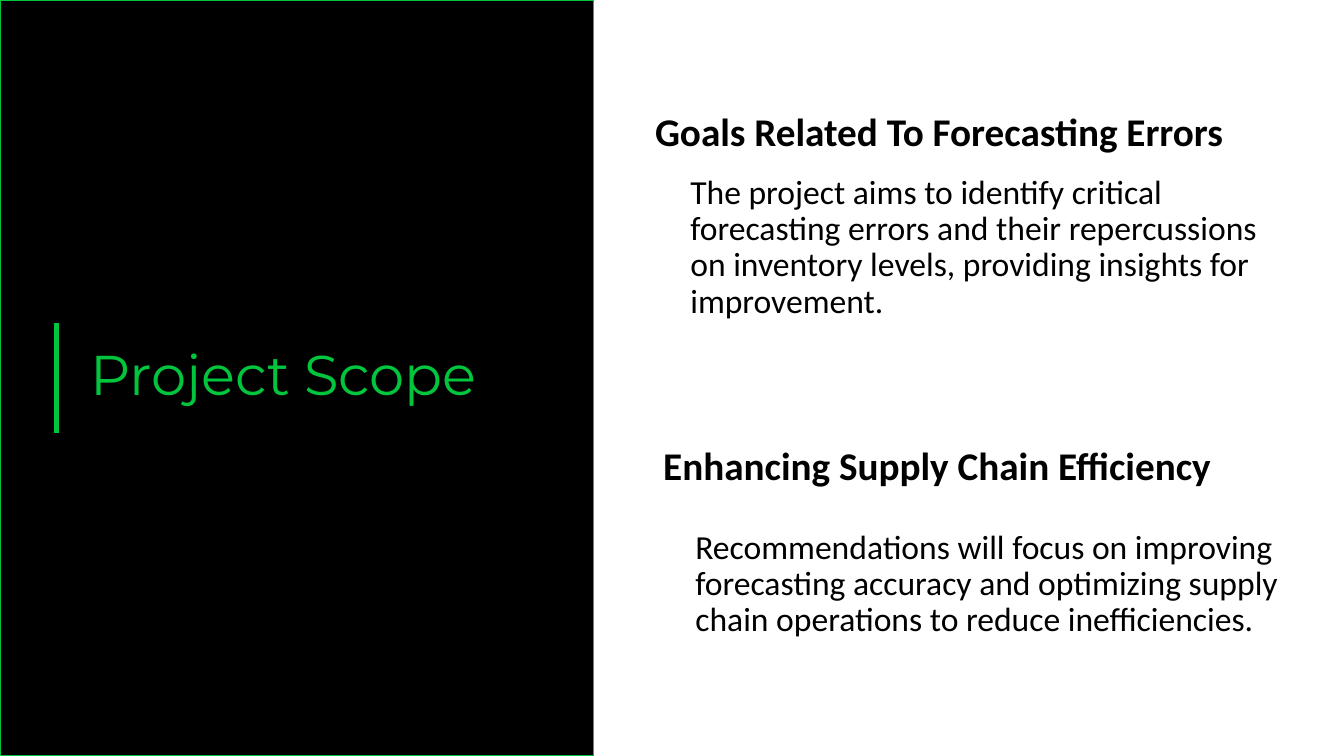
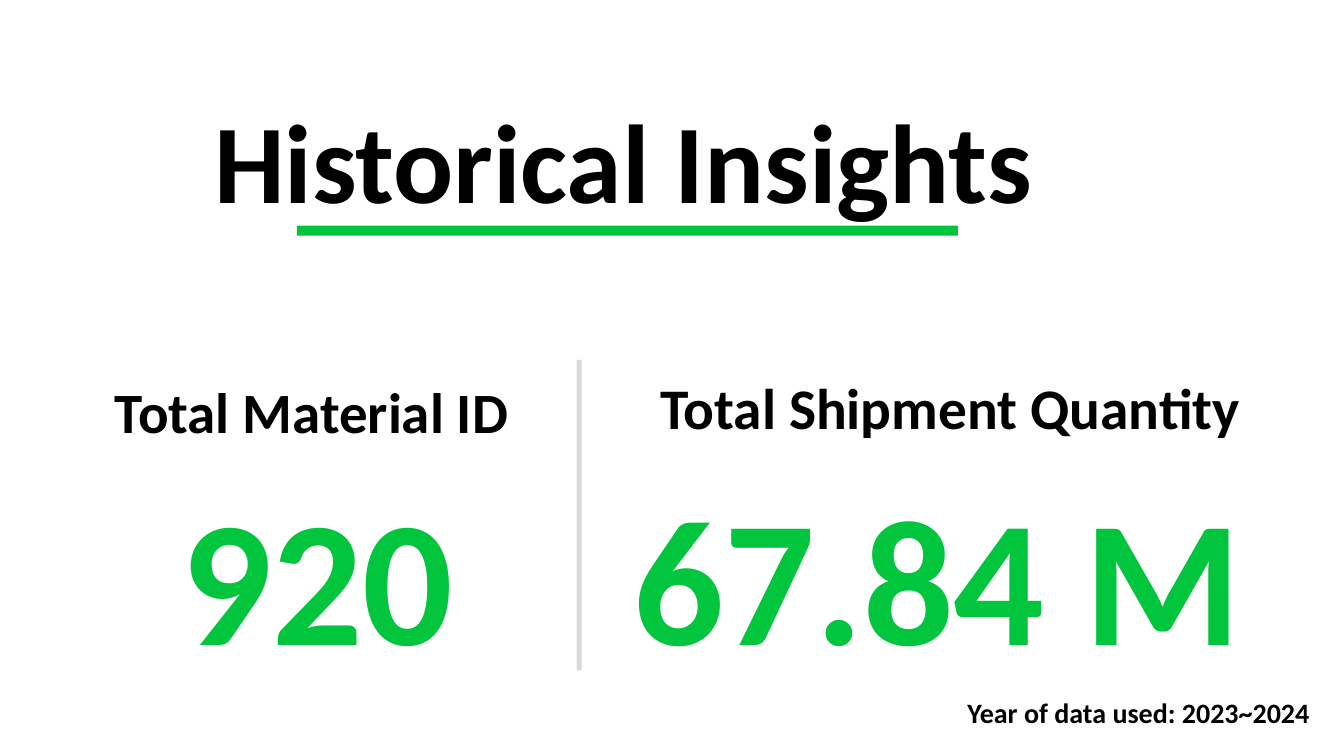
from dataclasses import dataclass

from pptx import Presentation
from pptx.dml.color import RGBColor
from pptx.enum.shapes import MSO_CONNECTOR, MSO_SHAPE
from pptx.enum.text import MSO_ANCHOR, PP_ALIGN
from pptx.oxml.ns import qn
from pptx.slide import Slide
from pptx.util import Pt
from lxml.etree import SubElement

BLACK = RGBColor(0x00, 0x00, 0x00)
WHITE = RGBColor(0xFF, 0xFF, 0xFF)
GREEN = RGBColor(0x01, 0xC5, 0x3D)
GREY = RGBColor(0xD9, 0xD9, 0xD9)

BODY_FONT = "Calibri"
TITLE_FONT = "Montserrat"
SLIDE_WIDTH, SLIDE_HEIGHT = 960, 540


@dataclass(frozen=True)
class Box:
    """A frame in points."""
    left: float
    top: float
    width: float
    height: float


@dataclass(frozen=True)
class Style:
    size: float
    color: RGBColor = BLACK
    bold: bool = True
    font: str = BODY_FONT
    line_spacing: float = 0.9
    align: PP_ALIGN = PP_ALIGN.LEFT
    anchor: MSO_ANCHOR = MSO_ANCHOR.TOP
    wrap: bool = True


@dataclass(frozen=True)
class Label:
    text: str
    box: Box
    style: Style


SCOPE_TITLE = Style(40, GREEN, bold=False, font=TITLE_FONT, anchor=MSO_ANCHOR.MIDDLE)
GOAL_HEADING = Style(28)
GOAL_BODY = Style(24, bold=False)
INSIGHTS_TITLE = Style(80, align=PP_ALIGN.CENTER, anchor=MSO_ANCHOR.MIDDLE)
METRIC_NAME = Style(41, line_spacing=1.2, anchor=MSO_ANCHOR.MIDDLE)
METRIC_NAME_SMALL = Style(40.7, line_spacing=1.2, anchor=MSO_ANCHOR.MIDDLE)
METRIC_VALUE = Style(128, GREEN, line_spacing=1.2, anchor=MSO_ANCHOR.MIDDLE)
METRIC_VALUE_CENTERED = Style(127.7, GREEN, line_spacing=1.1,
                              align=PP_ALIGN.CENTER, anchor=MSO_ANCHOR.MIDDLE)
FOOTNOTE = Style(20, line_spacing=1.0, wrap=False)

SCOPE_LABELS = (
    Label("Project Scope", Box(57.6, 116.6, 329.8, 306), SCOPE_TITLE),
    Label("Goals Related To Forecasting Errors",
          Box(460.8, 77, 447.1, 48.2), GOAL_HEADING),
    Label("The project aims to identify critical forecasting errors and their "
          "repercussions on inventory levels, providing insights for improvement.",
          Box(486, 121.7, 433.4, 132.5), GOAL_BODY),
    Label("Enhancing Supply Chain Efficiency",
          Box(466.6, 315.4, 447.1, 48.2), GOAL_HEADING),
    Label("Recommendations will focus on improving forecasting accuracy and "
          "optimizing supply chain operations to reduce inefficiencies.",
          Box(489.6, 375.1, 433.4, 87.8), GOAL_BODY),
)

INSIGHT_LABELS = (
    Label("Historical Insights", Box(87.1, 31, 717.1, 176.4), INSIGHTS_TITLE),
    Label("Total Material ID", Box(74.9, 236.2, 303.8, 104.4), METRIC_NAME_SMALL),
    Label("920", Box(53.3, 313.9, 347, 176.4), METRIC_VALUE_CENTERED),
    Label("Total Shipment Quantity", Box(464.4, 218.2, 440.6, 134.6), METRIC_NAME),
    Label("67.84 M", Box(445.7, 326.9, 523.4, 134.6), METRIC_VALUE),
    Label("Year of data used: 2023~2024", Box(684, 493.2, 261.4, 31.7), FOOTNOTE),
)

TITLE_PANEL = Box(0, 0, 424, SLIDE_HEIGHT)
TITLE_RULE_X, TITLE_RULE_TOP, TITLE_RULE_BOTTOM = 40.4, 231, 309
TITLE_UNDERLINE = Box(212, 161.2, 472.3, 7.2)
METRIC_DIVIDER = Box(411.9, 257, 3.6, 221.8)


def add_label(slide: Slide, label: Label) -> None:
    box, style = label.box, label.style
    frame = slide.shapes.add_textbox(
        Pt(box.left), Pt(box.top), Pt(box.width), Pt(box.height)).text_frame
    frame.word_wrap = style.wrap
    frame.vertical_anchor = style.anchor
    paragraph = frame.paragraphs[0]
    paragraph.alignment = style.align
    paragraph.line_spacing = style.line_spacing
    run = paragraph.add_run()
    run.text = label.text
    run.font.name = style.font
    run.font.size = Pt(style.size)
    run.font.bold = style.bold
    run.font.color.rgb = style.color


def add_bar(slide: Slide, box: Box, fill: RGBColor,
            outline: RGBColor | None = None) -> None:
    """Draw a flat rectangle, with a 1 pt outline if a colour is given."""
    bar = slide.shapes.add_shape(
        MSO_SHAPE.RECTANGLE, Pt(box.left), Pt(box.top), Pt(box.width), Pt(box.height))
    bar.shadow.inherit = False
    bar.fill.solid()
    bar.fill.fore_color.rgb = fill
    if outline is None:
        bar.line.fill.background()
    else:
        bar.line.color.rgb = outline
        bar.line.width = Pt(1)


def add_vertical_rule(slide: Slide, x: float, top: float, bottom: float) -> None:
    rule = slide.shapes.add_connector(
        MSO_CONNECTOR.STRAIGHT, Pt(x), Pt(top), Pt(x), Pt(bottom))
    rule.line.color.rgb = GREEN
    rule.line.width = Pt(3)
    SubElement(rule.element.spPr, qn("a:effectLst"))


def add_white_slide(deck: Presentation) -> Slide:
    slide = deck.slides.add_slide(deck.slide_layouts[6])
    slide.background.fill.solid()
    slide.background.fill.fore_color.rgb = WHITE
    return slide


def build_project_scope(deck: Presentation) -> None:
    slide = add_white_slide(deck)
    add_bar(slide, TITLE_PANEL, BLACK, GREEN)
    add_vertical_rule(slide, TITLE_RULE_X, TITLE_RULE_TOP, TITLE_RULE_BOTTOM)
    for label in SCOPE_LABELS:
        add_label(slide, label)


def build_historical_insights(deck: Presentation) -> None:
    slide = add_white_slide(deck)
    for label in INSIGHT_LABELS:
        add_label(slide, label)
    add_bar(slide, TITLE_UNDERLINE, GREEN)
    add_bar(slide, METRIC_DIVIDER, GREY)


def main() -> None:
    deck = Presentation()
    deck.slide_width, deck.slide_height = Pt(SLIDE_WIDTH), Pt(SLIDE_HEIGHT)
    build_project_scope(deck)
    build_historical_insights(deck)
    deck.save("out.pptx")


if __name__ == "__main__":
    main()
